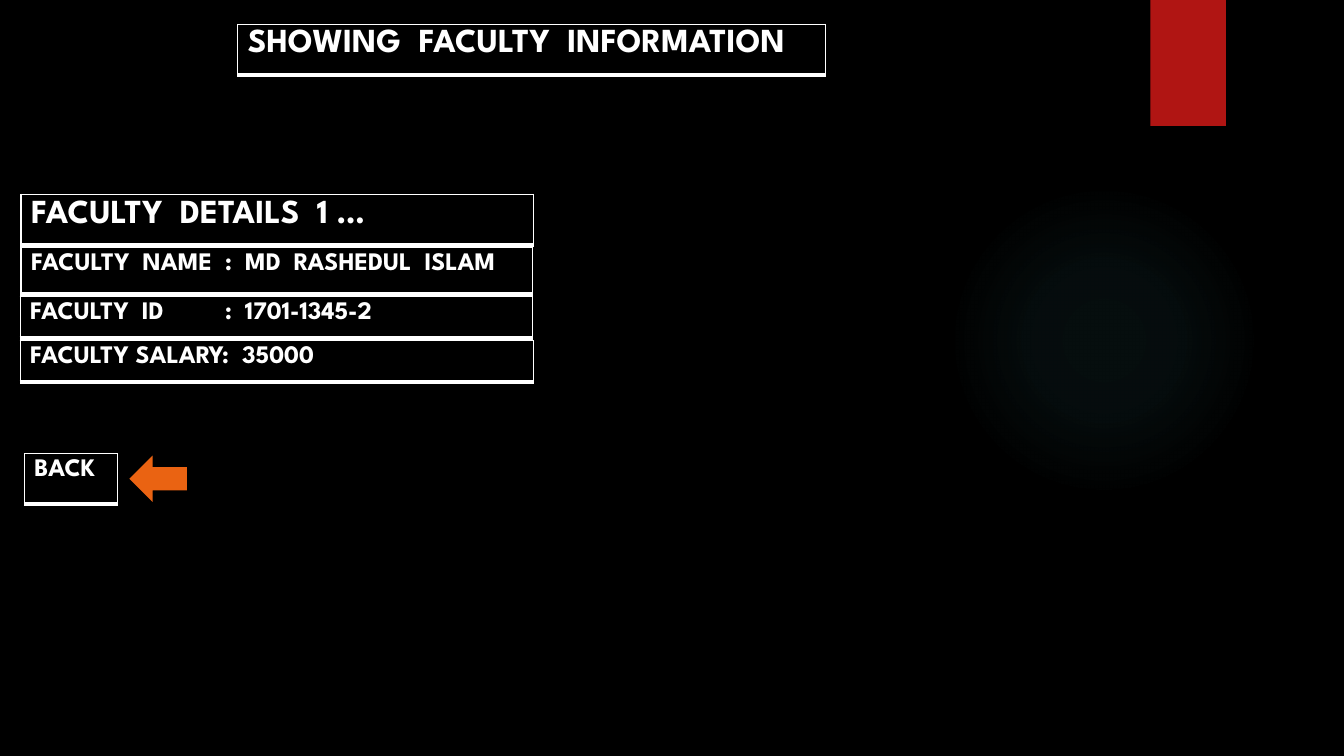
from dataclasses import dataclass

from lxml.etree import SubElement
from pptx import Presentation
from pptx.dml.color import RGBColor
from pptx.enum.shapes import MSO_SHAPE
from pptx.oxml import parse_xml
from pptx.oxml.ns import nsdecls, qn
from pptx.shapes.autoshape import Shape
from pptx.slide import Slide
from pptx.util import Emu, Inches, Pt

GRID_COLUMNS, GRID_ROWS = 160, 90
SLIDE_WIDTH, SLIDE_HEIGHT = Inches(13.33), Inches(7.5)
BLANK_LAYOUT = 6


@dataclass(frozen=True)
class Theme:
    background: str = "000000"
    ink: str = "FFFFFF"
    ribbon: str = "B01513"
    arrow: str = "EA6312"
    glow: str = "50B9C1"
    font: str = "League Spartan"
    heading: int = 24
    body: int = 18
    thin_border: int = 1
    thick_border: int = 3
    space_width: float = 0.25  # share of the type size


THEME = Theme()
GLOW_STOPS = ((0, 7), (36, 6), (69, 0))  # position and opacity in percent
COLON_TAB = Inches(1.93)


@dataclass(frozen=True)
class Area:
    """A place on the slide, in grid columns and rows."""
    column: float
    row: float
    columns: float
    rows: float

    def box(self) -> tuple[Emu, Emu, Emu, Emu]:
        across, down = SLIDE_WIDTH / GRID_COLUMNS, SLIDE_HEIGHT / GRID_ROWS
        return (Emu(round(self.column * across)), Emu(round(self.row * down)),
                Emu(round(self.columns * across)), Emu(round(self.rows * down)))


@dataclass(frozen=True)
class Panel:
    """A bordered one-cell table; its phrases are set apart by wide spaces."""
    area: Area
    phrases: tuple[str, ...]
    size: int = THEME.body


PANELS = (
    Panel(Area(2.5, 23.16, 61, 6), ("FACULTY", "DETAILS", "1 …"), THEME.heading),
    Panel(Area(2.5, 29.5, 60.9, 5.52),
          ("FACULTY", "NAME", ":", "MD", "RASHEDUL", "ISLAM")),
    Panel(Area(2.4, 40.56, 61.1, 4.92), ("FACULTY SALARY:", "35000")),
    Panel(Area(2.4, 35.28, 61, 4.92), ("FACULTY", "ID\t:", "1701-1345-2")),
    Panel(Area(28.3, 2.9, 70, 6),
          ("SHOWING", "FACULTY", "INFORMATION"), THEME.heading),
    Panel(Area(2.9, 54, 11.1, 6), ("BACK",)),
)


def add_plain_shape(page: Slide, kind: MSO_SHAPE, area: Area, color: str) -> Shape:
    shape = page.shapes.add_shape(kind, *area.box())
    shape.shadow.inherit = False
    shape.fill.solid()
    shape.fill.fore_color.rgb = RGBColor.from_string(color)
    shape.line.fill.background()
    return shape


def add_glow(page: Slide, area: Area) -> None:
    """Add a circle whose faint colour fades out from its centre."""
    circle = add_plain_shape(page, MSO_SHAPE.OVAL, area, THEME.glow)
    stops = "".join(
        f'<a:gs pos="{position * 1000}"><a:srgbClr val="{THEME.glow}">'
        f'<a:alpha val="{opacity * 1000}"/></a:srgbClr></a:gs>'
        for position, opacity in GLOW_STOPS)
    gradient = parse_xml(
        f'<a:gradFill {nsdecls("a")} rotWithShape="1"><a:gsLst>{stops}</a:gsLst>'
        '<a:path path="circle"><a:fillToRect l="50000" t="50000" r="50000" '
        'b="50000"/></a:path></a:gradFill>')
    properties = circle.element.spPr
    properties.replace(properties.find(qn("a:solidFill")), gradient)


def border(side: str, width: int):
    return parse_xml(
        f'<a:ln{side} {nsdecls("a")} w="{Pt(width)}"><a:solidFill>'
        f'<a:srgbClr val="{THEME.ink}"/></a:solidFill></a:ln{side}>')


def add_span(para, text: str, size: int):
    span = para.add_run()
    span.text = text
    span.font.name = THEME.font
    span.font.size = Pt(size)
    span.font.bold = True
    span.font.color.rgb = RGBColor.from_string(THEME.ink)
    return span


def add_phrases(para, panel: Panel) -> None:
    if any("\t" in phrase for phrase in panel.phrases):
        tabs = SubElement(para._p.get_or_add_pPr(), qn("a:tabLst"))
        SubElement(tabs, qn("a:tab"), pos=str(COLON_TAB), algn="l")
    for index, phrase in enumerate(panel.phrases):
        if index:
            space = add_span(para, " ", panel.size)
            extra = round(panel.size * THEME.space_width * 100)
            space.font._element.set("spc", str(extra))
        add_span(para, phrase, panel.size)


def add_panel(page: Slide, panel: Panel) -> None:
    table = page.shapes.add_table(1, 1, *panel.area.box()).table
    table.first_row = table.horz_banding = False
    cell = table.cell(0, 0)
    cell.fill.solid()
    cell.fill.fore_color.rgb = RGBColor.from_string(THEME.background)
    for index, side in enumerate("LRTB"):
        width = THEME.thick_border if side == "B" else THEME.thin_border
        cell._tc.tcPr.insert(index, border(side, width))
    add_phrases(cell.text_frame.paragraphs[0], panel)


def main() -> None:
    deck = Presentation()
    deck.slide_width, deck.slide_height = SLIDE_WIDTH, SLIDE_HEIGHT
    page = deck.slides.add_slide(deck.slide_layouts[BLANK_LAYOUT])
    page.background.fill.solid()
    page.background.fill.fore_color.rgb = RGBColor.from_string(THEME.background)

    add_glow(page, Area(112.95, 21.96, 37, 37))
    add_plain_shape(page, MSO_SHAPE.RECTANGLE, Area(136.95, 0, 9, 15), THEME.ribbon)
    for panel in PANELS:
        add_panel(page, panel)
    back_arrow = add_plain_shape(
        page, MSO_SHAPE.RIGHT_ARROW, Area(15.4, 54.24, 6.84, 5.52), THEME.arrow)
    back_arrow.rotation = 180
    deck.save("out.pptx")


if __name__ == "__main__":
    main()
